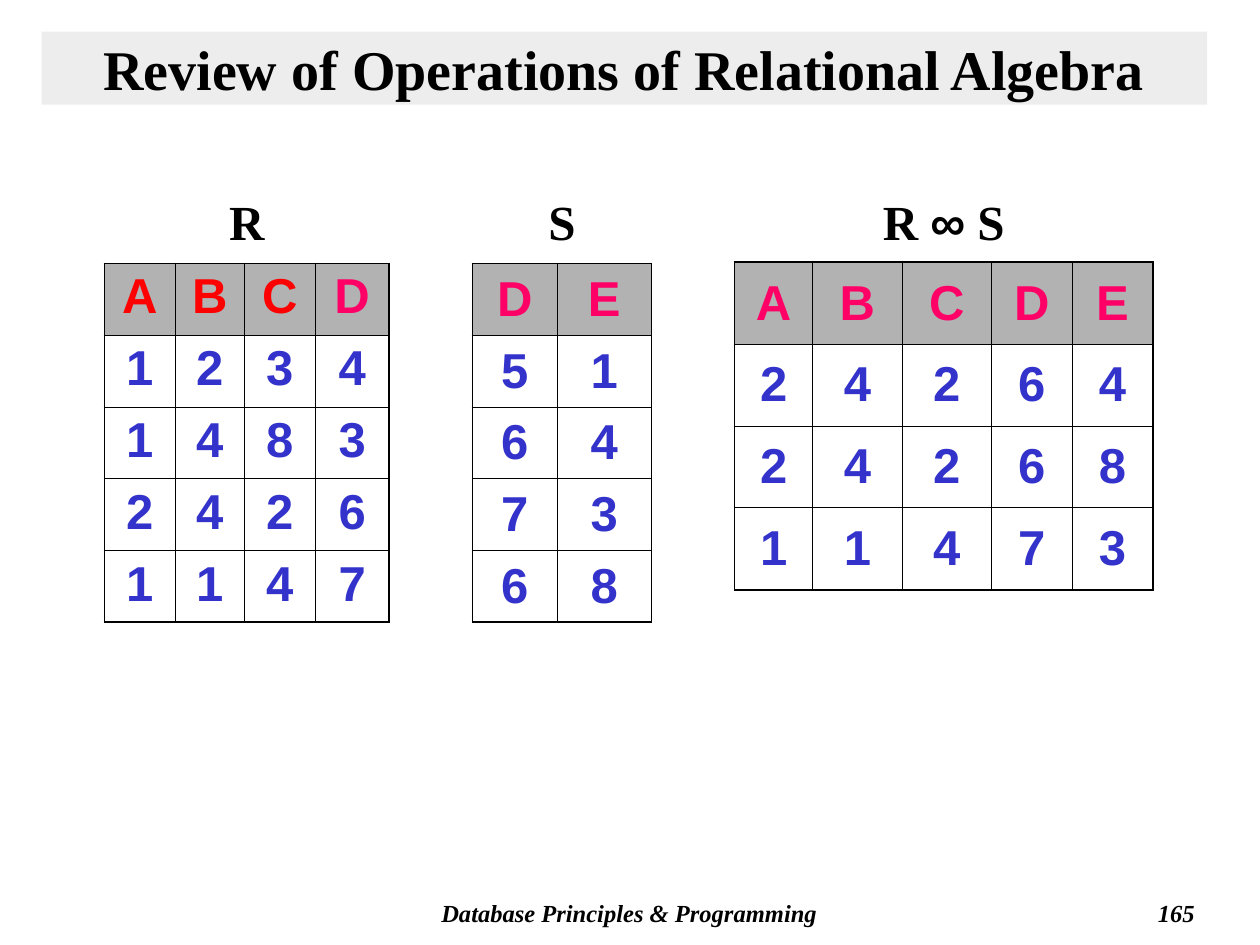
from pptx import Presentation
from pptx.util import Inches, Pt
from pptx.dml.color import RGBColor
from pptx.enum.text import PP_ALIGN as Align, MSO_ANCHOR as Anchor
from pptx.oxml import parse_xml
from pptx.oxml.ns import nsdecls
from lxml.etree import SubElement as Sub

SERIF, SANS = "Times New Roman", "Arial"
RED, PINK, BLUE = "FF0000", "FF0066", "3333CC"


def rgb(code):
    return RGBColor.from_string(code)


def style(para, size, face=SERIF, color="000000", align=Align.CENTER):
    para.alignment = align
    font = para.font
    font.size, font.name, font.bold = Pt(size), face, True
    font.color.rgb = rgb(color)


prs = Presentation()
prs.slide_width, prs.slide_height = Inches(10), Inches(7.5)
slide = prs.slides.add_slide(prs.slide_layouts[5])

# Title on a half-transparent grey band
title = slide.shapes.title
title.left, title.top = Inches(0.33), Inches(0.25)
title.width, title.height = Inches(9.25), Inches(0.58)
title.fill.solid()
title.fill.fore_color.rgb = rgb("DDDDDD")
tint = title.fill._xPr.solidFill[0]
Sub(tint, tint.tag.replace("srgbClr", "alpha"), val="50000")
title.text_frame.text = "Review of Operations of Relational Algebra"
title.text_frame.vertical_anchor = Anchor.MIDDLE
style(title.text_frame.paragraphs[0], 32)

# Footer and page number
for text, left, width, align in [
    ("Database Principles & Programming", 2.83, 4.33, Align.CENTER),
    ("165", 7.5, 2.08, Align.RIGHT),
]:
    box = slide.shapes.add_textbox(Inches(left), Inches(7.08), Inches(width), Inches(0.33))
    box.text_frame.word_wrap = True
    para = box.text_frame.paragraphs[0]
    para.text = text
    style(para, 14, align=align)
    para.font.italic = True

# Relations: label runs, left, top, column widths, row height, anchor, header colours, rows
tables = [
    (["R"], 0.83, 2.09, [0.56, 0.55, 0.56, 0.59], 0.57, Anchor.TOP,
     [RED, RED, RED, PINK], ["ABCD", "1234", "1483", "2426", "1147"]),
    (["S"], 3.75, 2.09, [0.67, 0.75], 0.57, Anchor.MIDDLE,
     [PINK] * 2, ["DE", "51", "64", "73", "68"]),
    (["R ", "∞", " S"], 5.83, 2.08, [0.62, 0.71, 0.71, 0.64, 0.64], 0.65, Anchor.MIDDLE,
     [PINK] * 5, ["ABCDE", "24264", "24268", "11473"]),
]
for label, left, top, cols, high, anchor, heads, rows in tables:
    width = Inches(sum(cols))

    # Label above the table
    box = slide.shapes.add_textbox(Inches(left), Inches(1.52), width, Inches(0.47))
    frame = box.text_frame
    frame.word_wrap = True
    frame.margin_left = frame.margin_right = frame.margin_top = frame.margin_bottom = 0
    para = frame.paragraphs[0]
    for part in label:
        run = para.add_run()
        run.text = part
        if part == "∞":
            run.font.name = SANS
    style(para, 28)

    # Grid with a heavier outer border
    table = slide.shapes.add_table(
        len(rows), len(cols), Inches(left), Inches(top), width, Inches(high * len(rows))).table
    table.first_row = table.horz_banding = False
    for col, wide in zip(table.columns, cols):
        col.width = Inches(wide)
    for r, row in enumerate(rows):
        table.rows[r].height = Inches(high)
        for c, text in enumerate(row):
            cell = table.cell(r, c)
            cell.vertical_anchor = anchor
            cell.margin_left = cell.margin_right = Inches(0.1)
            cell.text = text
            style(cell.text_frame.paragraphs[0], 28, SANS, heads[c] if r == 0 else BLUE)
            edges = {"L": c == 0, "R": c == len(cols) - 1,
                     "T": r == 0, "B": r == len(rows) - 1}
            props = cell._tc.get_or_add_tcPr()
            for side, outer in edges.items():
                props.append(parse_xml(
                    f'<a:ln{side} {nsdecls("a")} w="{Pt(1.08 if outer else 0.45)}">'
                    '<a:solidFill><a:srgbClr val="000000"/></a:solidFill>'
                    f'</a:ln{side}>'))
            if r == 0:
                cell.fill.solid()
                cell.fill.fore_color.rgb = rgb("B2B2B2")
            else:
                cell.fill.background()

prs.save("out.pptx")
